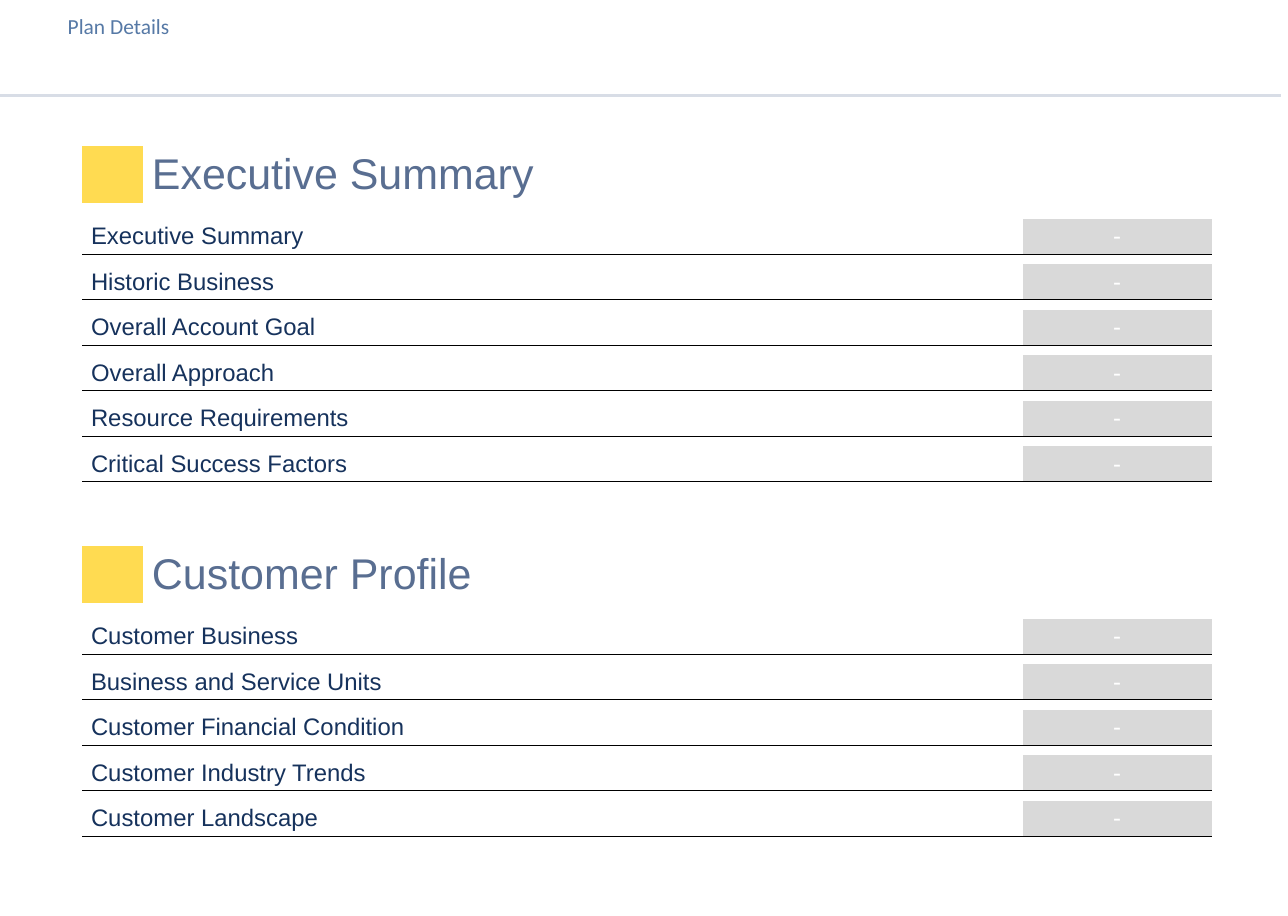
from lxml import etree
from pptx import Presentation
from pptx.dml.color import RGBColor
from pptx.enum.shapes import MSO_CONNECTOR
from pptx.enum.text import MSO_ANCHOR, PP_ALIGN
from pptx.oxml.ns import qn
from pptx.util import Inches, Pt

# Content
PAGE_TITLE = "Plan Details"
SECTIONS = [
    ("Executive Summary", [
        "Executive Summary", "Historic Business", "Overall Account Goal",
        "Overall Approach", "Resource Requirements", "Critical Success Factors"]),
    ("Customer Profile", [
        "Customer Business", "Business and Service Units",
        "Customer Financial Condition", "Customer Industry Trends",
        "Customer Landscape"]),
]
STATUS = "-"

# Layout in inches
LEFT, TOP = 0.96, 1.7
HEADING_COLS, HEADING_H, HEADING_FRAME_H = (0.71, 11.8), 0.66, 0.7
ITEM_COLS, ITEM_H, ITEM_FRAME_H = (10.95, 2.2), 0.41, 3.47
HEADING_STEP, ITEM_STEP, SECTION_GAP = 0.85, 0.53, 0.63
NO_STYLE = "{2D5ABB26-0587-4C30-8999-92F81FD0307C}"


def color(value):
    return RGBColor.from_string(value)


def write(tf, text, size=20, font="Arial", fill="16325C", align=PP_ALIGN.LEFT):
    tf.word_wrap = True
    p = tf.paragraphs[0]
    p.alignment = align
    p.line_spacing = 0.93
    r = p.add_run()
    r.text = text
    r.font.size = Pt(size)
    r.font.name = font
    r.font.color.rgb = color(fill)


def add_row(top, widths, height, frame_height, fills):
    """Add a plain one-row table and return its cells."""
    frame = s.shapes.add_table(1, len(widths), Inches(LEFT), Inches(top),
                               Inches(sum(widths)), Inches(frame_height))
    table = frame.table
    table.first_row = table.horz_banding = False
    frame._element.find(".//" + qn("a:tableStyleId")).text = NO_STYLE
    for column, width in zip(table.columns, widths):
        column.width = Inches(width)
    table.rows[0].height = Inches(height)
    frame.height = Inches(frame_height)
    cells = list(table.rows[0].cells)
    for cell, fill in zip(cells, fills):
        cell.vertical_anchor = MSO_ANCHOR.BOTTOM
        if fill:
            cell.fill.solid()
            cell.fill.fore_color.rgb = color(fill)
        else:
            cell.fill.background()
    return cells


def underline(cell, value="000000", width=1):
    ln = etree.Element(qn("a:lnB"), w=str(Pt(width)))
    fill = etree.SubElement(ln, qn("a:solidFill"))
    etree.SubElement(fill, qn("a:srgbClr"), val=value)
    cell._tc.get_or_add_tcPr().insert(0, ln)


prs = Presentation()
prs.slide_width, prs.slide_height = Inches(15), Inches(10.67)
s = prs.slides.add_slide(prs.slide_layouts[6])

# Page title and rule
box = s.shapes.add_textbox(Inches(0.69), Inches(0.13), Inches(13.19), Inches(0.69))
write(box.text_frame, PAGE_TITLE, size=18, font="Calibri", fill="5679A6")
rule = s.shapes.add_connector(MSO_CONNECTOR.STRAIGHT, Inches(0), Inches(1.11),
                              Inches(14.92), Inches(1.11))
rule.line.color.rgb = color("D8DDE6")
rule.line.width = Pt(2.25)
etree.SubElement(rule._element.spPr, qn("a:effectLst"))

# Sections: a heading with a yellow marker, then the underlined items
y = TOP
for heading, items in SECTIONS:
    marker, title = add_row(y, HEADING_COLS, HEADING_H, HEADING_FRAME_H,
                            ("FFDB51", None))
    write(title.text_frame, heading, size=36, fill="596E91")
    y += HEADING_STEP
    for item in items:
        name, status = add_row(y, ITEM_COLS, ITEM_H, ITEM_FRAME_H,
                               (None, "D9D9D9"))
        write(name.text_frame, item)
        write(status.text_frame, STATUS, fill="FFFFFF", align=PP_ALIGN.CENTER)
        for cell in (name, status):
            underline(cell)
        y += ITEM_STEP
    y += SECTION_GAP

prs.save("out.pptx")
